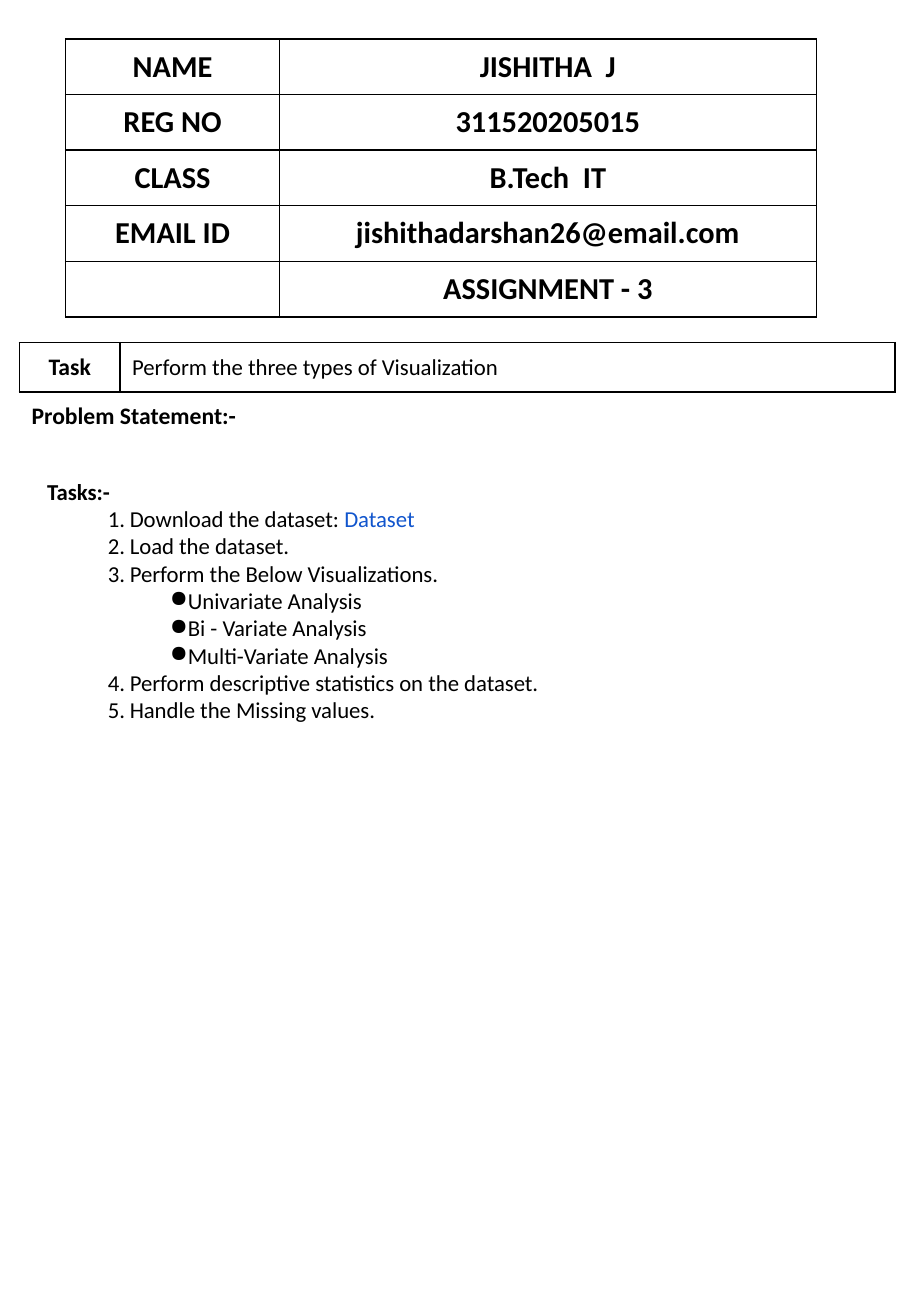
from collections import namedtuple

from lxml.etree import SubElement
from pptx import Presentation
from pptx.dml.color import RGBColor
from pptx.enum.text import MSO_ANCHOR as ANCHOR, PP_ALIGN as ALIGN
from pptx.oxml.ns import qn
from pptx.util import Inches, Pt

COLORS = {"ink": "000000", "link": "1155CD"}
FONT = "Calibri"
WIDTH, HEIGHT = Inches(7.5), Inches(10.83)
SIDES = {"left": "a:lnL", "right": "a:lnR", "top": "a:lnT", "bottom": "a:lnB"}
Box = namedtuple("Box", "left top width height")


def across(percent):
    return round(WIDTH * percent / 100)


def down(percent):
    return round(HEIGHT * percent / 100)


def area(left, top, width, height):
    """Box given in percent of the slide."""
    return Box(across(left), down(top), across(width), down(height))


def write(paragraph, text, size=13.5, bold=False, color="ink", align=ALIGN.LEFT):
    paragraph.alignment = align
    run = paragraph.add_run()
    run.text = text
    run.font.name, run.font.size, run.font.bold = FONT, Pt(size), bold
    run.font.color.rgb = RGBColor.from_string(COLORS[color])


def set_borders(cell, visible=tuple(SIDES)):
    properties = cell._tc.get_or_add_tcPr()
    for side, tag in SIDES.items():
        line = SubElement(properties, qn(tag), w=str(Pt(1)))
        if side in visible:
            fill = SubElement(line, qn("a:solidFill"))
            SubElement(fill, qn("a:srgbClr"), val=COLORS["ink"])
        else:
            SubElement(line, qn("a:noFill"))


def add_grid(slide, box, rows, first_share):
    """Plain two-column table with equal rows, filling the box."""
    grid = slide.shapes.add_table(rows, 2, *box).table
    grid.first_row = grid.horz_banding = False
    grid.columns[0].width = round(box.width * first_share)
    grid.columns[1].width = box.width - grid.columns[0].width
    for row in grid.rows:
        row.height = round(box.height / rows)
        for cell in row.cells:
            cell.vertical_anchor = ANCHOR.MIDDLE
            set_borders(cell)
            cell.fill.background()
    return grid


def add_student_details(slide, box):
    details = [
        ("NAME", "JISHITHA  J"),
        ("REG NO", "311520205015"),
        ("CLASS", "B.Tech  IT"),
        ("EMAIL ID", "jishithadarshan26@email.com"),
        ("", "ASSIGNMENT - 3"),
    ]
    grid = add_grid(slide, box, len(details), 0.285)
    for row, entry in zip(grid.rows, details):
        for cell, text in zip(row.cells, entry):
            if text:
                write(cell.text_frame.paragraphs[0], text, size=18, bold=True,
                      align=ALIGN.CENTER)


def add_task_heading(slide, box):
    grid = add_grid(slide, box, 2, 0.115)
    label, task, problem = grid.cell(0, 0), grid.cell(0, 1), grid.cell(1, 0)
    write(label.text_frame.paragraphs[0], "Task", size=14, bold=True,
          align=ALIGN.CENTER)
    write(task.text_frame.paragraphs[0], "Perform the three types of Visualization",
          align=ALIGN.JUSTIFY)
    write(problem.text_frame.paragraphs[0], "Problem Statement:-", size=14, bold=True)

    # The lower row is open on every side but the top
    problem.merge(grid.cell(1, 1))
    for cell in grid.rows[1].cells:
        properties = cell._tc.tcPr
        for tag in SIDES.values():
            properties.remove(properties.find(qn(tag)))
        fill = properties[0]
        set_borders(cell, visible=("top",))
        properties.append(fill)


def set_marker(paragraph, level, start):
    """Number the first level, put dots on the second."""
    paragraph.level = level
    properties = paragraph._p.get_or_add_pPr()
    margin, hang = ((0.68, 0.18), (1.15, 0.14))[level]
    properties.set("marL", str(Inches(margin)))
    properties.set("indent", str(-Inches(hang)))
    if level == 0:
        SubElement(properties, qn("a:buFont"), typeface=FONT)
        SubElement(properties, qn("a:buAutoNum"), type="arabicPeriod",
                   startAt=str(start))
    else:
        SubElement(properties, qn("a:buChar"), char="●")


def add_tasks(slide, box):
    # Each entry: level, first number of its run, text
    tasks = [
        (0, 1, "Download the dataset: "),
        (0, 1, "Load the dataset."),
        (0, 1, "Perform the Below Visualizations."),
        (1, 1, "Univariate Analysis"),
        (1, 1, "Bi - Variate Analysis"),
        (1, 1, "Multi-Variate Analysis"),
        (0, 4, "Perform descriptive statistics on the dataset."),
        (0, 4, "Handle the Missing values."),
    ]
    frame = slide.shapes.add_textbox(*box).text_frame
    frame.word_wrap = True
    write(frame.paragraphs[0], "Tasks:-", bold=True)
    for level, start, text in tasks:
        item = frame.add_paragraph()
        write(item, text)
        set_marker(item, level, start)
    write(frame.paragraphs[1], "Dataset", color="link")


deck = Presentation()
deck.slide_width, deck.slide_height = WIDTH, HEIGHT
assignment = deck.slides.add_slide(deck.slide_layouts[6])
add_student_details(assignment, area(7.2, 2.95, 82.4, 21.15))
add_task_heading(assignment, area(2.13, 26.04, 96.13, 7.48))
add_tasks(assignment, area(3.87, 35.83, 94.4, 19.85))
deck.save("out.pptx")
